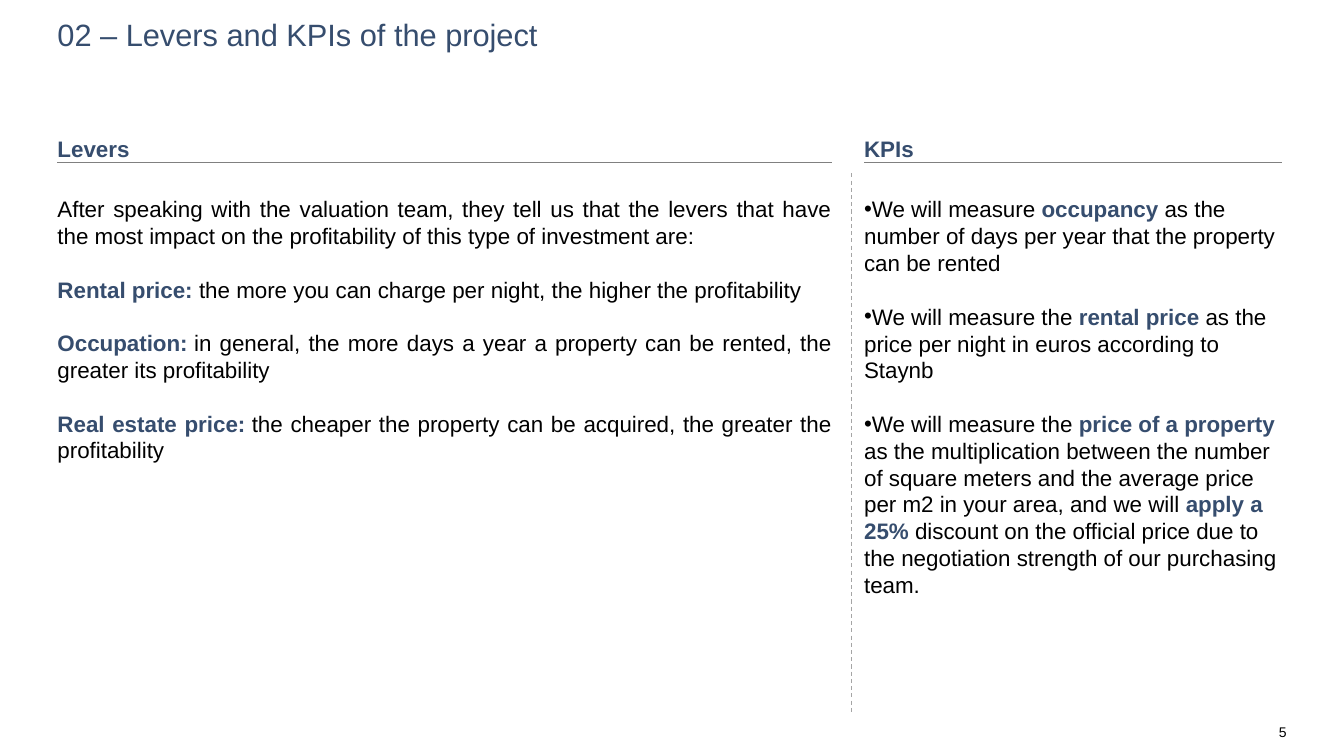
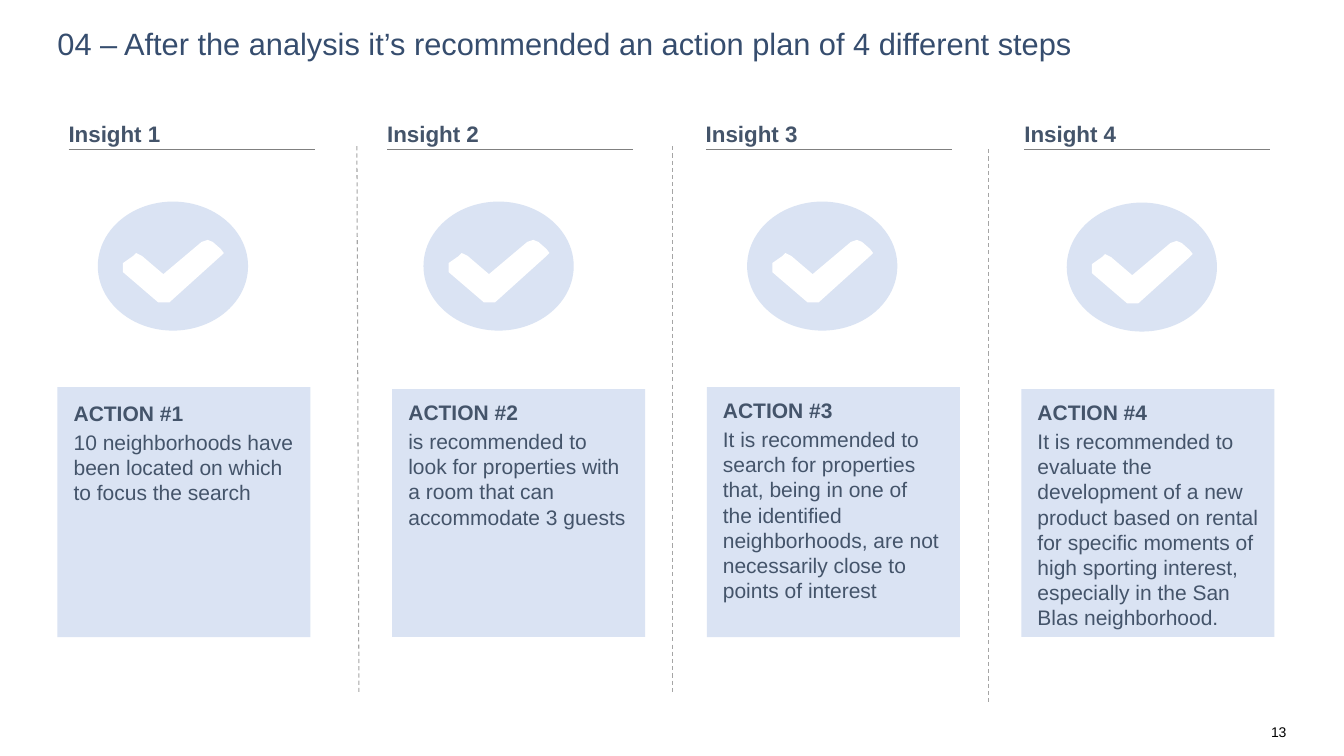
from lxml import etree
from pptx import Presentation
from pptx.dml.color import RGBColor
from pptx.enum.dml import MSO_LINE
from pptx.enum.shapes import MSO_CONNECTOR, MSO_SHAPE
from pptx.enum.text import MSO_ANCHOR, MSO_AUTO_SIZE, PP_ALIGN
from pptx.oxml.ns import qn
from pptx.util import Inches, Pt

TOP, MIDDLE, BOTTOM = MSO_ANCHOR.TOP, MSO_ANCHOR.MIDDLE, MSO_ANCHOR.BOTTOM
LEFT, RIGHT, JUSTIFY = PP_ALIGN.LEFT, PP_ALIGN.RIGHT, PP_ALIGN.JUSTIFY
STRAIGHT, DASH, NO_FIT = MSO_CONNECTOR.STRAIGHT, MSO_LINE.DASH, MSO_AUTO_SIZE.NONE
RECTANGLE, OVAL = MSO_SHAPE.RECTANGLE, MSO_SHAPE.OVAL

FONT = "Arial"
COLORS = {
    "navy": "364D6E",
    "slate": "44546A",
    "black": "000000",
    "white": "FFFFFF",
    "pale": "DAE3F3",
    "rule": "808080",
    "divider": "A5A5A5",
}
COLORS = {name: RGBColor.from_string(value) for name, value in COLORS.items()}


def write_text(box, texts, size, color, accent="navy", bold=None, align=LEFT,
               anchor=TOP, gap=0, spacing=None, bullet=None):
    """Fill a box with paragraphs; parts between asterisks are bold accents."""
    frame = box.text_frame
    frame.word_wrap = True
    frame.auto_size = NO_FIT
    frame.vertical_anchor = anchor
    frame.margin_left = frame.margin_right = frame.margin_top = frame.margin_bottom = 0
    for index, text in enumerate(texts):
        para = frame.add_paragraph() if index else frame.paragraphs[0]
        properties = para._p.get_or_add_pPr()
        properties.set("marL", "0")
        properties.set("indent", "0")
        if bullet:
            etree.SubElement(properties, qn("a:buChar"), char=bullet)
        else:
            etree.SubElement(properties, qn("a:buNone"))
        para.alignment = align
        para.space_before = Pt(gap if index else 0)
        if spacing:
            para.line_spacing = spacing
        para.font.name = FONT
        para.font.size = Pt(size)
        para.font.color.rgb = COLORS[color]
        para.font.bold = bold
        for position, part in enumerate(text.split("*")):
            if part:
                span = para.add_run()
                span.text = part
                if position % 2:
                    span.font.bold = True
                    span.font.color.rgb = COLORS[accent]


def add_rule(slide, start, end, color, dash=None):
    """Draw a thin straight line between two points in inches."""
    rule = slide.shapes.add_connector(STRAIGHT, *map(Inches, start + end))
    rule.line.color.rgb = COLORS[color]
    rule.line.width = Pt(0.75)
    if dash:
        rule.line.dash_style = dash
    etree.SubElement(rule._element.spPr, qn("a:effectLst"))


deck = Presentation()
deck.slide_width, deck.slide_height = Inches(13.33), Inches(7.5)
levers_slide = deck.slides.add_slide(deck.slide_layouts.get_by_name("Comparison"))
actions_slide = deck.slides.add_slide(deck.slide_layouts.get_by_name("Title Only"))

# Titles and page numbers
pages = [
    (levers_slide, "02 – Levers and KPIs of the project", 0.2, "5"),
    (actions_slide, "04 – After the analysis it’s recommended an action plan of 4 different steps",
     0.29, "13"),
]
for slide, title, top, number in pages:
    box = slide.shapes.title
    box.left, box.top, box.width, box.height = map(Inches, (0.57, top, 12.19, 0.33))
    write_text(box, [title], 22, "navy", spacing=0.9)
    box = slide.shapes.add_textbox(*map(Inches, (9.42, 7.06, 3.34, 0.4)))
    write_text(box, [number], 10, "black", align=RIGHT, anchor=MIDDLE)

# Levers and KPIs: two headed columns
levers = [
    "After speaking with the valuation team, they tell us that the levers that have the most "
    "impact on the profitability of this type of investment are:",
    "*Rental price:\u00a0*the more you can charge per night, the higher the profitability",
    "*Occupation:\u00a0*in general, the more days a year a property can be rented, the greater "
    "its profitability",
    "*Real estate price:\u00a0*the cheaper the property can be acquired, the greater the "
    "profitability",
]
kpis = [
    "We will measure *occupancy* as the number of days per year that the property can be rented",
    "We will measure the *rental price* as the price per night in euros according to Staynb",
    "We will measure the *price of a property *as the multiplication between the number of "
    "square meters and the average price per m2 in your area, and we will *apply a 25%* discount "
    "on the official price due to the negotiation strength of our purchasing team.",
]
columns = [
    ("Levers", levers, 0.57, 7.68, JUSTIFY, None, 1, 2),
    ("KPIs", kpis, 8.57, 4.15, LEFT, "•", 3, 4),
]
for heading, texts, left, width, align, bullet, heading_id, body_id in columns:
    box = levers_slide.placeholders[heading_id]
    box.left, box.top, box.width, box.height = map(Inches, (left, 1.37, width, 0.24))
    write_text(box, [heading], 16, "navy", bold=True, anchor=BOTTOM, spacing=0.9)
    add_rule(levers_slide, (left, 1.61), (left + width, 1.61), "rule")
    box = levers_slide.placeholders[body_id]
    box.left, box.top, box.width, box.height = map(Inches, (left, 1.94, width, 4.04))
    write_text(box, texts, 16, "black", align=align, gap=19, bullet=bullet)
add_rule(levers_slide, (8.45, 1.72), (8.45, 7.06), "divider", DASH)

# Action plan: dividers between the four columns
for start, end in [((3.54, 1.45), (3.56, 6.89)), ((6.67, 1.45), (6.67, 6.89)),
                   ((9.8, 1.48), (9.8, 6.99))]:
    add_rule(actions_slide, start, end, "divider", DASH)

# Action plan: heading, check badge and card in each column
CHECK = [(1.22, 0.47), (1.14, 0.4), (1.09, 0.38), (1.03, 0.4), (0.65, 0.72), (0.44, 0.54),
         (0.38, 0.51), (0.35, 0.54), (0.25, 0.61), (0.25, 0.7), (0.6, 1), (0.71, 1),
         (1.22, 0.54), (1.25, 0.51)]
CARD_WIDTH, CARD_BOTTOM, CARD_INSET = 2.51, 6.32, 0.16
# Badge left and top, card left and top, text top and width, text
actions = [
    (0.97, 2, 0.57, 3.84, 3.97, 2.26,
     "10 neighborhoods have been located on which to focus the search"),
    (4.2, 2, 3.89, 3.86, 3.96, 2.16,
     "is recommended to look for properties with a room that can accommodate 3 guests"),
    (7.41, 2, 7.01, 3.84, 3.94, 2.16,
     "It is recommended to search for properties that, being in one of the identified "
     "neighborhoods, are not necessarily close to points of interest"),
    (10.58, 2.01, 10.13, 3.86, 3.96, 2.26,
     "It is recommended to evaluate the development of a new product based on rental for "
     "specific moments of high sporting interest, especially in the San Blas neighborhood."),
]
for index, action in enumerate(actions):
    badge_left, badge_top, card_left, card_top, text_top, text_width, text = action
    left = 0.68 + 3.16 * index
    box = actions_slide.shapes.add_textbox(*map(Inches, (left, 1.19, 2.44, 0.27)))
    write_text(box, [f"Insight {index + 1}"], 16, "slate", bold=True, anchor=BOTTOM)
    add_rule(actions_slide, (left, 1.48), (left + 2.44, 1.48), "rule")

    disc = actions_slide.shapes.add_shape(
        OVAL, *map(Inches, (badge_left, badge_top, 1.49, 1.28)))
    points = [(Inches(badge_left + x), Inches(badge_top + y)) for x, y in CHECK]
    builder = actions_slide.shapes.build_freeform(*points[0])
    builder.add_line_segments(points[1:])
    check = builder.convert_to_shape()
    card = actions_slide.shapes.add_shape(
        RECTANGLE, *map(Inches, (card_left, card_top, CARD_WIDTH, CARD_BOTTOM - card_top)))
    for shape, color in [(disc, "pale"), (check, "white"), (card, "pale")]:
        shape.shadow.inherit = False
        shape.fill.solid()
        shape.fill.fore_color.rgb = COLORS[color]
        shape.line.fill.background()

    write_text(card, [f"*ACTION #{index + 1}*", text], 15, "slate", accent="slate", gap=3)
    card.text_frame.margin_left = Inches(CARD_INSET)
    card.text_frame.margin_right = Inches(CARD_WIDTH - CARD_INSET - text_width)
    card.text_frame.margin_top = Inches(text_top - card_top)

deck.save("out.pptx")
